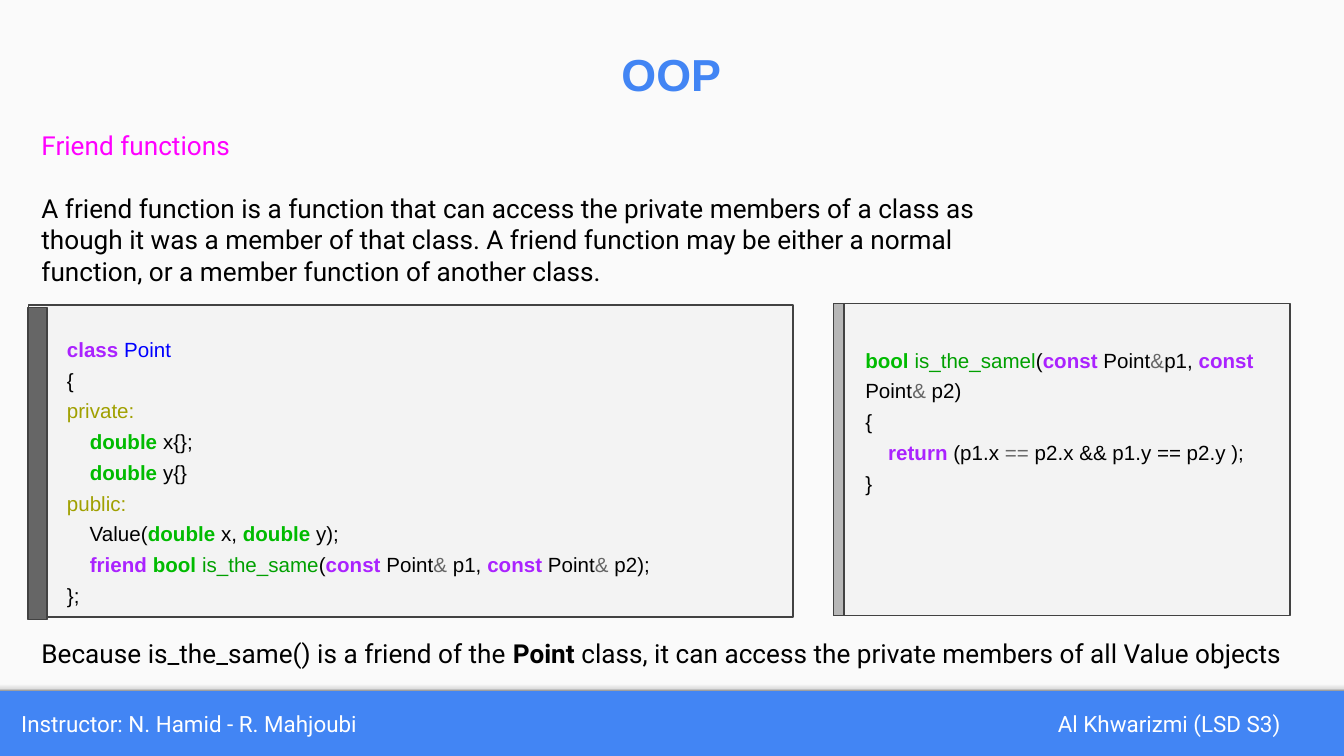
from lxml import etree
from pptx import Presentation
from pptx.dml.color import RGBColor
from pptx.enum import shapes, text
from pptx.oxml.ns import qn
from pptx.util import Inches, Pt

COLORS = {
    "blue": "4285F4", "panel": "FAFAFA", "white": "FFFFFF", "black": "000000",
    "magenta": "FF00FF", "box": "F3F3F3", "border": "424242",
    "dark bar": "666666", "light bar": "B7B7B7",
    "keyword": "AA22FF", "type": "00BB00", "class": "0000FF",
    "function": "00A000", "label": "A0A000", "operator": "666666",
}
BOLD = {"keyword", "type", "strong"}
SHADE = [(0, "F9F9F9"), (36, "F9F9F9"), (80, "DEDEDE"), (100, "999999")]

# Content: a line is a list of runs, a run is plain text or (text, style)
CONST, DOUBLE, AMP = ("const", "keyword"), ("double", "type"), ("&", "operator")
BOOL = ("bool ", "type")

CLASS_CODE = [
    [("class ", "keyword"), ("Point", "class")],
    ["{"],
    [("private:", "label")],
    ["    ", DOUBLE, " x{};"],
    ["    ", DOUBLE, " y{}"],
    [("public:", "label")],
    ["    Value(", DOUBLE, " x, ", DOUBLE, " y);"],
    ["    ", ("friend ", "keyword"), BOOL, ("is_the_same", "function"), "(",
     CONST, " Point", AMP, " p1, ", CONST, " Point", AMP, " p2);"],
    ["};"],
]
FUNCTION_CODE = [
    [BOOL, ("is_the_samel", "function"), "(",
     CONST, " Point", AMP, "p1, ", CONST, " Point", AMP, " p2)"],
    ["{"],
    ["    ", ("return", "keyword"), " (p1.x ", ("==", "operator"),
     " p2.x && p1.y == p2.y );"],
    ["}"],
]
DEFINITION = ("A friend function is a function that can access the private members "
              "of a class as though it was a member of that class. A friend function "
              "may be either a normal function, or a member function of another class.")
CONCLUSION = ["Because is_the_same() is a friend of the ", ("Point", "strong"),
              " class, it can access the private members of all Value objects"]

# Text formats
BODY = {"font": "Roboto", "size": 14, "color": "black"}
HEADING = {**BODY, "color": "magenta"}
FOOTER = {**BODY, "size": 12, "color": "white", "anchor": text.MSO_ANCHOR.MIDDLE}
FOOTER_CENTERED = {**FOOTER, "align": text.PP_ALIGN.CENTER}
TITLE = {"font": "Arial", "size": 24, "color": "blue", "bold": True,
         "spacing": 1.15, "align": text.PP_ALIGN.CENTER}
CODE = {"font": "Arial", "size": 11, "color": "black", "spacing": 1.25}

TEXTS = [
    ((0.06, 5.14, 4.57, 0.49), [["Instructor: N. Hamid - R. Mahjoubi"]], FOOTER),
    ((7.43, 5.14, 2.54, 0.49), [["Al Khwarizmi (LSD S3)"]], FOOTER_CENTERED),
    ((2.31, 0.19, 5.37, 0.61), [["OOP"]], TITLE),
    ((0.21, 0.86, 8.03, 0.44), [["Friend functions"]], HEADING),
    ((0.21, 1.33, 7.55, 0.91), [[DEFINITION]], BODY),
    ((0.4, 2.36, 5.23, 2.24), CLASS_CODE, CODE),
    ((6.34, 2.44, 3.13, 1.59), FUNCTION_CODE, CODE),
    ((0.21, 4.64, 9.66, 0.44), [CONCLUSION], BODY),
]
# Code boxes and their side bars
BOXES = [
    ((0.21, 2.27, 5.69, 2.32), "box"),
    ((0.21, 2.29, 0.14, 2.32), "dark bar"),
    ((6.2, 2.26, 3.4, 2.32), "box"),
    ((6.2, 2.26, 0.08, 2.32), "light bar"),
]


def rgb(name):
    return RGBColor.from_string(COLORS[name])


def add_rect(slide, place, fill, border=None):
    rect = slide.shapes.add_shape(shapes.MSO_SHAPE.RECTANGLE, *map(Inches, place))
    rect.shadow.inherit = False
    rect.fill.solid()
    rect.fill.fore_color.rgb = rgb(fill)
    if border:
        rect.line.color.rgb = rgb(border)
        rect.line.width = Pt(0.75)
    else:
        rect.line.fill.background()
    return rect


def shade(rect):
    """Fill from top to bottom with the SHADE stops."""
    rect.fill.gradient()
    rect.fill.gradient_angle = 270
    stops = rect._element.spPr.find(qn("a:gradFill")).find(qn("a:gsLst"))
    for stop in list(stops):
        stops.remove(stop)
    for percent, color in SHADE:
        stop = etree.SubElement(stops, qn("a:gs"), pos=str(percent * 1000))
        etree.SubElement(stop, qn("a:srgbClr"), val=color)


def add_text(slide, place, lines, style):
    frame = slide.shapes.add_textbox(*map(Inches, place)).text_frame
    frame.word_wrap = True
    frame.vertical_anchor = style.get("anchor", text.MSO_ANCHOR.TOP)
    for side in ("left", "top", "right", "bottom"):
        setattr(frame, f"margin_{side}", Inches(0.1))
    for number, line in enumerate(lines):
        paragraph = frame.add_paragraph() if number else frame.paragraphs[0]
        paragraph.alignment = style.get("align")
        paragraph.line_spacing = style.get("spacing")
        for part in line:
            words, kind = (part, None) if isinstance(part, str) else part
            run = paragraph.add_run()
            run.text = words
            values = {"name": style["font"], "size": Pt(style["size"]),
                      "bold": kind in BOLD or style.get("bold", False)}
            for key, value in values.items():
                setattr(run.font, key, value)
            run.font.color.rgb = rgb(kind if kind in COLORS else style["color"])


def main():
    deck = Presentation()
    deck.slide_width = Inches(10)
    deck.slide_height = Inches(10 * 9 / 16)
    slide = deck.slides.add_slide(deck.slide_layouts[6])

    # Blue background shows as the footer below the light panel
    slide.background.fill.solid()
    slide.background.fill.fore_color.rgb = rgb("blue")
    add_rect(slide, (0, 0, 10, 5.14), "panel")
    shade(add_rect(slide, (0, 5.06, 10, 0.08), "panel"))

    for place, fill in BOXES:
        add_rect(slide, place, fill, "border")
    for place, lines, style in TEXTS:
        add_text(slide, place, lines, style)

    deck.save("out.pptx")


if __name__ == "__main__":
    main()
